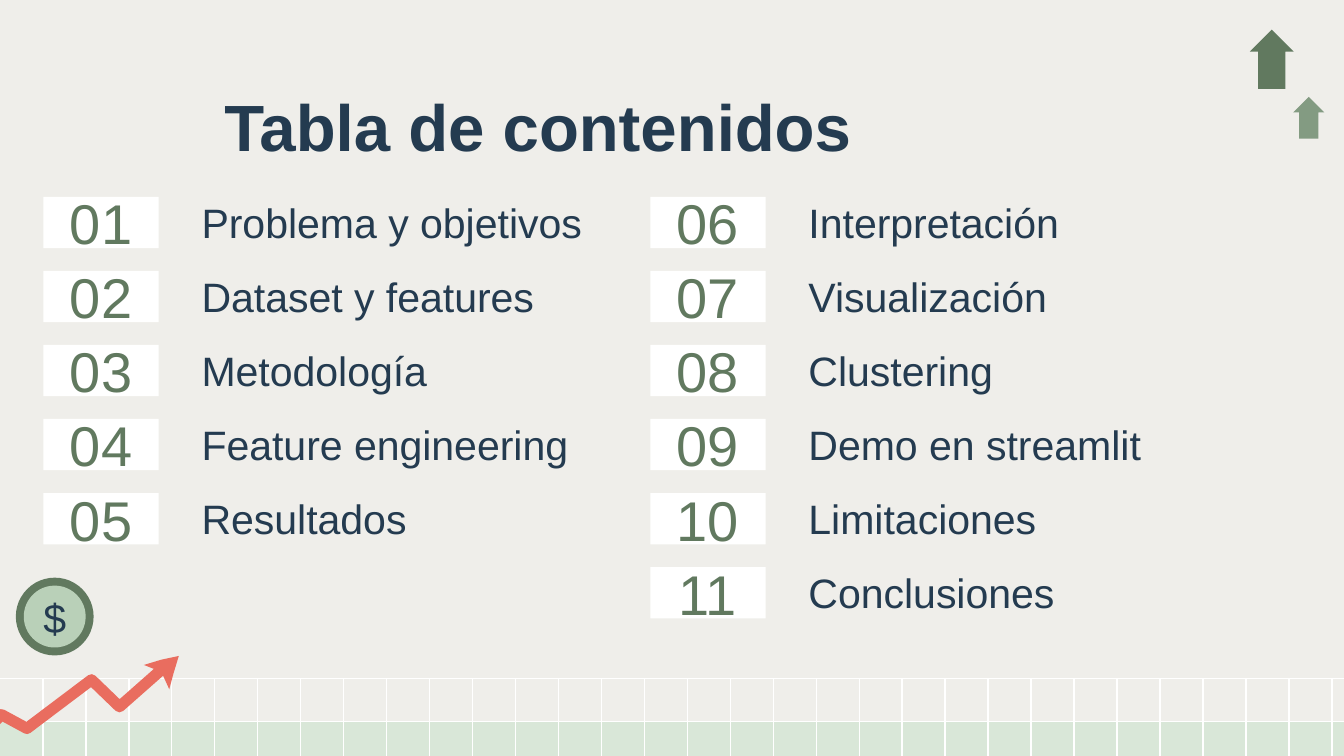
from pptx import Presentation
from pptx.dml.color import RGBColor
from pptx.enum.shapes import MSO_CONNECTOR, MSO_SHAPE
from pptx.enum.text import MSO_ANCHOR, MSO_AUTO_SIZE, PP_ALIGN
from pptx.oxml.xmlchemy import OxmlElement
from pptx.util import Cm, Pt

WIDE, HIGH = 25.4, 14.29
PAPER, WHITE, NAVY = "EFEEEA", "FFFFFF", "243B50"
GREEN, SAGE, MINT, PALE = "61795F", "839B82", "B9D0B8", "D9E7D8"
CORAL = "E96D5F"


def color(code):
    return RGBColor.from_string(code)


def write(shape, text, size=22, ink=NAVY, bold=False, align=PP_ALIGN.LEFT,
          anchor=MSO_ANCHOR.MIDDLE, inset=0.25, top=None):
    frame = shape.text_frame
    frame.word_wrap = True
    frame.auto_size = MSO_AUTO_SIZE.NONE
    frame.vertical_anchor = anchor
    frame.margin_left = frame.margin_right = frame.margin_bottom = Cm(inset)
    frame.margin_top = Cm(inset if top is None else top)
    par = frame.paragraphs[0]
    par.alignment = align
    run = par.add_run()
    run.text = text
    font = run.font
    font.name, font.size, font.bold = "Arial", Pt(size), bold
    font.color.rgb = color(ink)


class Deck:
    def __init__(self):
        self.show = Presentation()
        self.show.slide_width, self.show.slide_height = Cm(WIDE), Cm(HIGH)
        self.slide = self.show.slides.add_slide(self.show.slide_layouts[5])
        self.slide.background.fill.solid()
        self.slide.background.fill.fore_color.rgb = color(PAPER)
        self.items = self.slide.shapes

    def title(self, text, box, **style):
        head = self.items.title
        head.left, head.top, head.width, head.height = map(Cm, box)
        write(head, text, **style)

    def shape(self, kind, box, fill, turns=()):
        item = self.items.add_shape(kind, *map(Cm, box))
        for spot, value in enumerate(turns):
            item.adjustments[spot] = value
        return self.paint(item, fill)

    def paint(self, item, fill=None, line=None, width=1):
        item.shadow.inherit = False
        if fill:
            item.fill.solid()
            item.fill.fore_color.rgb = color(fill)
        else:
            item.fill.background()
        if line:
            item.line.color.rgb = color(line)
            item.line.width = Pt(width)
        else:
            item.line.fill.background()
        return item

    def label(self, text, box, **style):
        write(self.items.add_textbox(*map(Cm, box)), text, **style)

    def line(self, *ends):
        item = self.items.add_connector(MSO_CONNECTOR.STRAIGHT, *map(Cm, ends))
        item.line.color.rgb = color(WHITE)
        item.line.width = Pt(0.75)
        item._element.spPr.append(OxmlElement("a:effectLst"))

    def path_of(self, points, close, **style):
        spots = [(Cm(x), Cm(y)) for x, y in points]
        pen = self.items.build_freeform(*spots[0])
        pen.add_line_segments(spots[1:], close=close)
        self.paint(pen.convert_to_shape(), **style)


def main():
    deck = Deck()

    # Floor band and grid
    roof, floor = 12.82, 13.64
    deck.shape(MSO_SHAPE.RECTANGLE, (0, floor, WIDE, HIGH - floor), PALE)
    for y in (floor, roof):
        deck.line(0, y, WIDE, y)
    count, last = 31, 25.17
    for n in range(1, count + 1):
        x = last * n / count
        deck.line(x, roof, x, HIGH)

    # Rising trend with its head
    deck.path_of([(-1.17, 14.73), (0.03, 13.51), (0.51, 13.77), (1.73, 12.85),
                  (2.26, 13.36), (3.12, 12.6)], False, line=CORAL, width=6)
    deck.path_of([(3.38, 12.4), (3.05, 12.47), (2.72, 12.57), (3.05, 12.7),
                  (3.2, 13.03), (3.28, 12.73)], True, fill=CORAL)

    # Coin
    deck.shape(MSO_SHAPE.OVAL, (0.3, 10.92, 1.47, 1.47), GREEN)
    deck.shape(MSO_SHAPE.OVAL, (0.45, 11.07, 1.17, 1.17), MINT)
    deck.label("$", (0.7, 11.1, 0.67, 1.12), align=PP_ALIGN.CENTER, inset=0)

    # Up arrows
    for box, fill in (((23.62, 0.56, 0.83, 1.12), GREEN),
                      ((24.44, 1.83, 0.59, 0.79), SAGE)):
        deck.shape(MSO_SHAPE.UP_ARROW, box, fill, turns=(0.62, 0.5))

    # Title
    deck.title("Tabla de contenidos", (3.99, 1.24, 19.43, 1.6), size=35,
               bold=True, anchor=MSO_ANCHOR.TOP, top=0.39)

    # Numbered contents in two columns
    left = ["Problema y objetivos", "Dataset y features", "Metodología",
            "Feature engineering", "Resultados"]
    right = ["Interpretación", "Visualización", "Clustering",
             "Demo en streamlit", "Limitaciones", "Conclusiones"]
    num = 0
    for x, names in ((0.82, left), (12.29, right)):
        for row, name in enumerate(names):
            num += 1
            y = 3.72 + 1.4 * row
            tile = deck.shape(MSO_SHAPE.RECTANGLE, (x, y, 2.18, 0.97), WHITE)
            write(tile, f"{num:02d}", size=30, ink=GREEN,
                  align=PP_ALIGN.CENTER)
            deck.label(name, (x + 2.74, y + 0.22, 9.04, 0.97),
                       anchor=MSO_ANCHOR.BOTTOM)

    deck.show.save("out.pptx")


if __name__ == "__main__":
    main()
